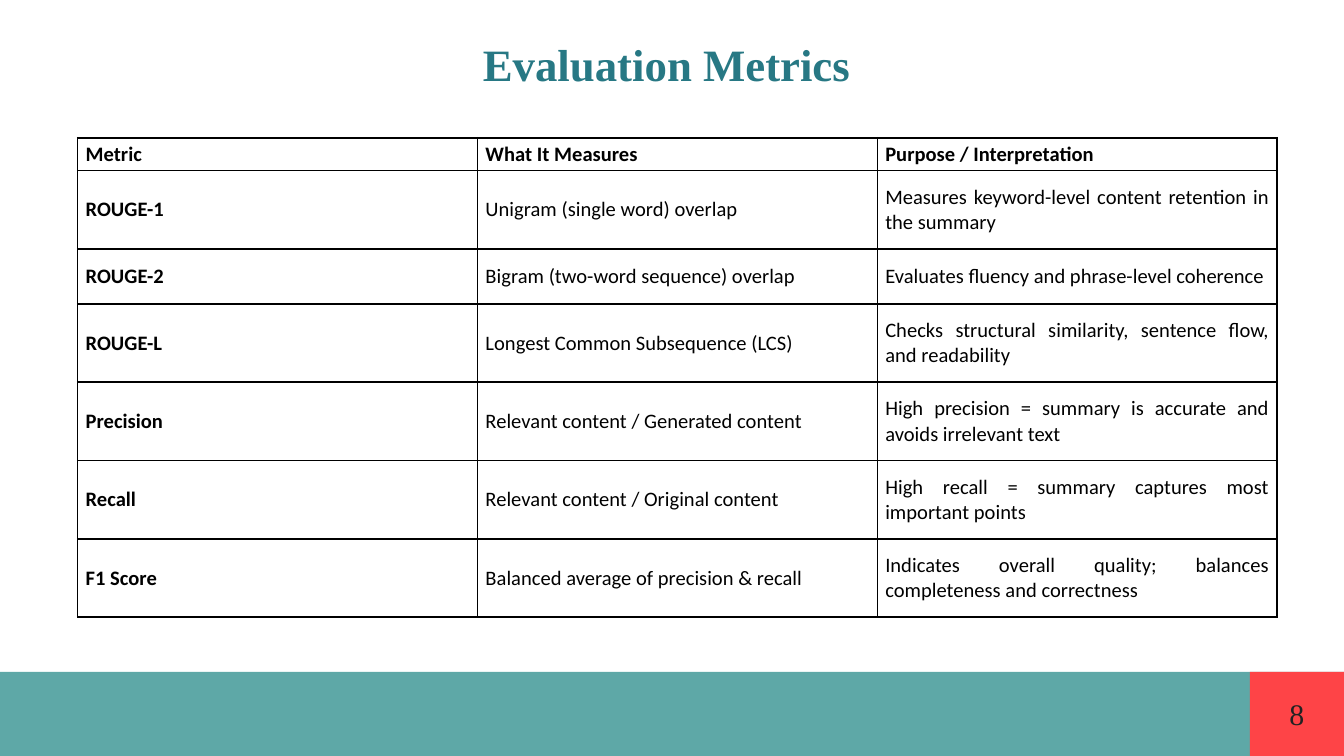
from dataclasses import dataclass

from lxml import etree
from pptx import Presentation
from pptx.dml.color import RGBColor
from pptx.enum import shapes, text
from pptx.oxml.ns import qn
from pptx.util import Pt


@dataclass(frozen=True)
class Theme:
    teal: str = "5EA8A7"
    red: str = "FE4447"
    title: str = "277884"
    number: str = "222222"
    ink: str = "000000"
    serif: str = "Times New Roman"
    sans: str = "Calibri"
    title_size: float = 24
    number_size: float = 16
    cell_size: float = 11


THEME = Theme()
WIDTH, HEIGHT = 720, 405
BAR_TOP = 360
BAR = (0, BAR_TOP, WIDTH, HEIGHT - BAR_TOP)
BADGE = (669.6, BAR_TOP, WIDTH - 669.6, HEIGHT - BAR_TOP)
TITLE = (36, 1.5, 648, 65)

TABLE_LEFT, TABLE_TOP = 41.6, 73.8
COL_WIDTH = 214.2
ROW_HEIGHTS = [17, 42, 29.5, 42, 42, 42, 42]
METRICS = [
    ("Metric", "What It Measures", "Purpose / Interpretation"),
    ("ROUGE-1", "Unigram (single word) overlap",
     "Measures keyword-level content retention in the summary"),
    ("ROUGE-2", "Bigram (two-word sequence) overlap",
     "Evaluates fluency and phrase-level coherence"),
    ("ROUGE-L", "Longest Common Subsequence (LCS)",
     "Checks structural similarity, sentence flow, and readability"),
    ("Precision", "Relevant content / Generated content",
     "High precision = summary is accurate and avoids irrelevant text"),
    ("Recall", "Relevant content / Original content",
     "High recall = summary captures most important points"),
    ("F1 Score", "Balanced average of precision & recall",
     "Indicates overall quality; balances completeness and correctness"),
]


def write(frame, words, *, font, size, color, bold=False,
          align=text.PP_ALIGN.CENTER):
    frame.word_wrap = True
    para = frame.paragraphs[0]
    para.alignment = align
    run = para.add_run()
    run.text = words
    run.font.name = font
    run.font.size = Pt(size)
    run.font.bold = bold
    run.font.color.rgb = RGBColor.from_string(color)


def add_block(slide, box, color):
    block = slide.shapes.add_shape(
        shapes.MSO_SHAPE.RECTANGLE, *map(Pt, box))
    block.shadow.inherit = False
    block.fill.solid()
    block.fill.fore_color.rgb = RGBColor.from_string(color)
    block.line.fill.background()


def add_label(slide, box, words, **style):
    frame = slide.shapes.add_textbox(*map(Pt, box)).text_frame
    frame.vertical_anchor = text.MSO_ANCHOR.MIDDLE
    write(frame, words, **style)


def set_borders(cell, color, width=1):
    props = cell._tc.get_or_add_tcPr()
    for spot, side in enumerate(("a:lnL", "a:lnR", "a:lnT", "a:lnB")):
        line = etree.Element(qn(side), w=str(Pt(width)))
        fill = etree.SubElement(line, qn("a:solidFill"))
        etree.SubElement(fill, qn("a:srgbClr"), val=color)
        props.insert(spot, line)


def fill_cell(cell, words, bold):
    cell.fill.background()
    cell.vertical_anchor = text.MSO_ANCHOR.MIDDLE
    cell.margin_left = cell.margin_right = Pt(4.3)
    cell.margin_top = cell.margin_bottom = Pt(2.15)
    write(cell.text_frame, words, font=THEME.sans, size=THEME.cell_size,
          color=THEME.ink, bold=bold, align=text.PP_ALIGN.JUSTIFY)
    set_borders(cell, THEME.ink)


def add_metrics(slide):
    count = len(METRICS[0])
    box = (TABLE_LEFT, TABLE_TOP, COL_WIDTH * count, sum(ROW_HEIGHTS))
    table = slide.shapes.add_table(
        len(METRICS), count, *map(Pt, box)).table
    table.horz_banding = False
    for col in table.columns:
        col.width = Pt(COL_WIDTH)
    for row, height in zip(table.rows, ROW_HEIGHTS):
        row.height = Pt(height)
    for r, row in enumerate(METRICS):
        for c, words in enumerate(row):
            fill_cell(table.cell(r, c), words, bold=r == 0 or c == 0)


def main():
    deck = Presentation()
    deck.slide_width, deck.slide_height = Pt(WIDTH), Pt(HEIGHT)
    slide = deck.slides.add_slide(deck.slide_layouts[6])
    add_block(slide, BAR, THEME.teal)
    add_block(slide, BADGE, THEME.red)
    add_label(slide, BADGE, "8", font=THEME.serif,
              size=THEME.number_size, color=THEME.number)
    add_label(slide, TITLE, "Evaluation Metrics ", font=THEME.serif,
              size=THEME.title_size, color=THEME.title, bold=True)
    add_metrics(slide)
    deck.save("out.pptx")


if __name__ == "__main__":
    main()
